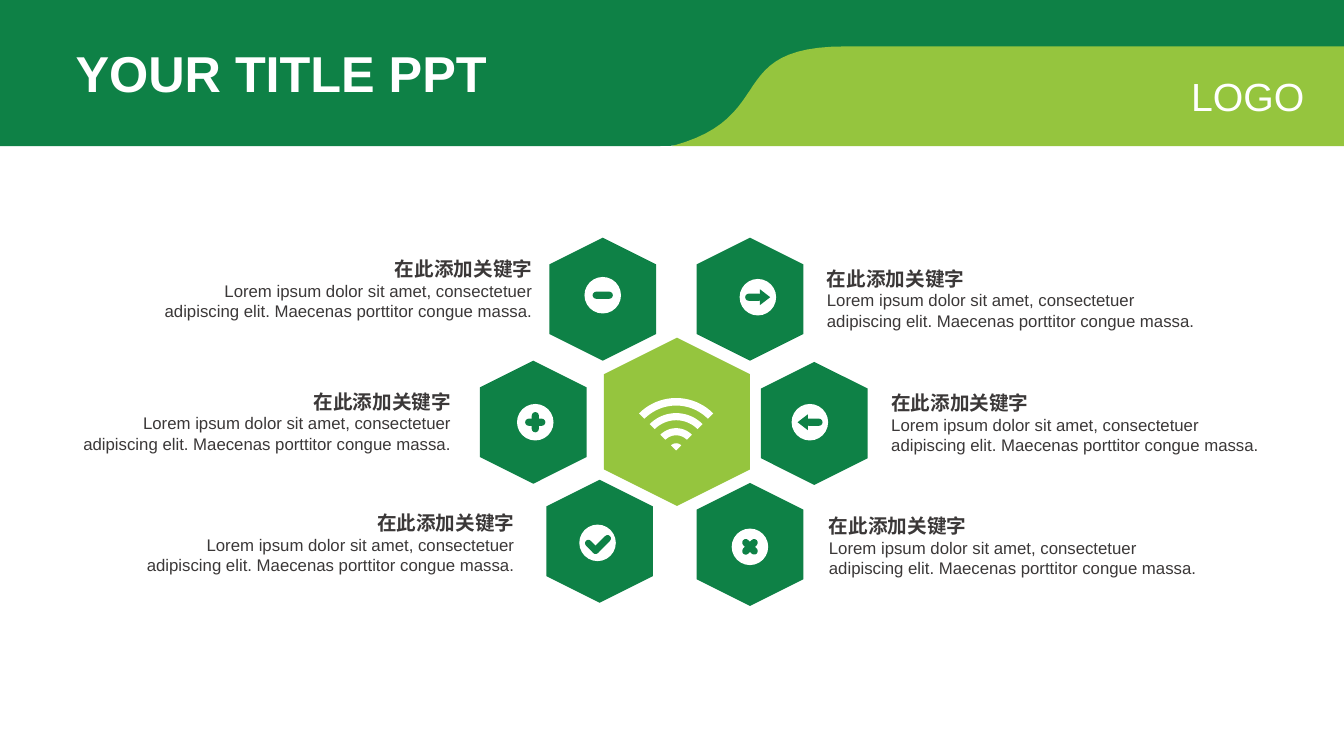
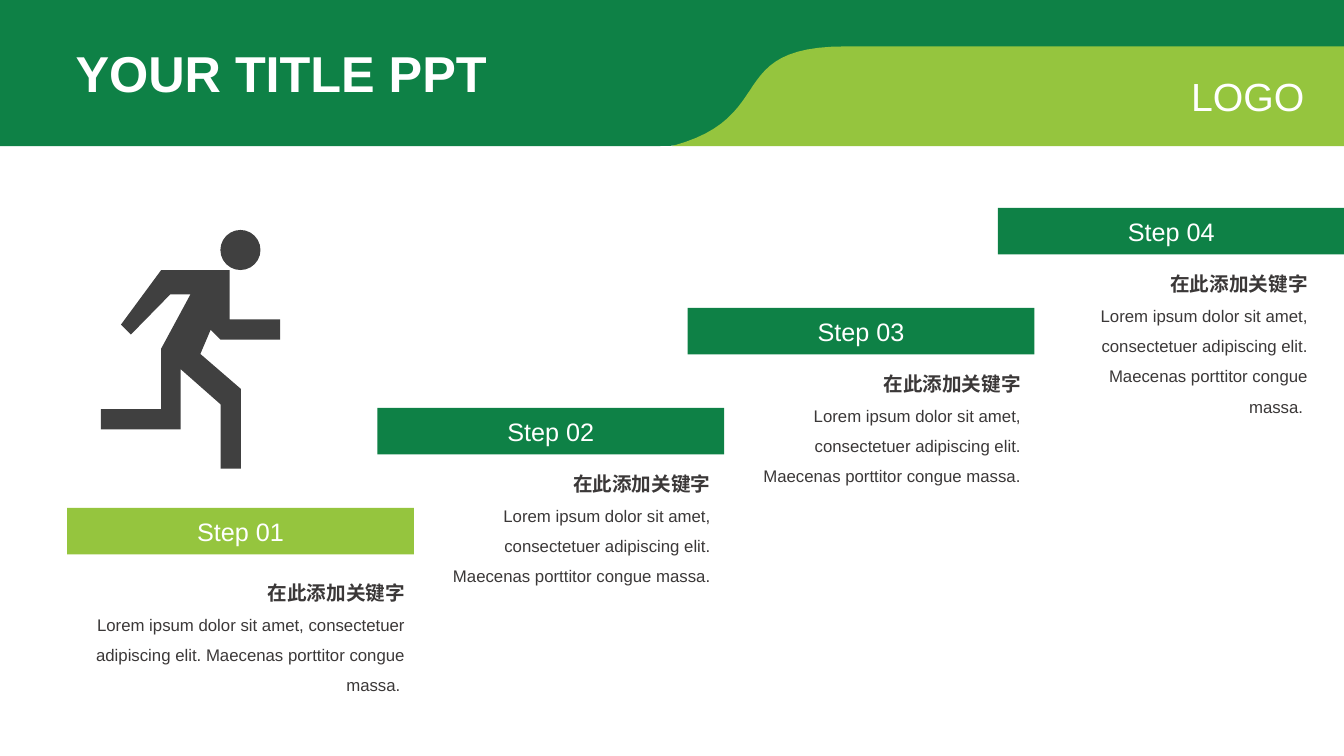
"""Build a two-slide green deck: a hexagon cluster and a rising staircase."""
from dataclasses import dataclass
from math import cos, pi, sin

from pptx import Presentation
from pptx.dml.color import RGBColor
from pptx.enum.shapes import MSO_SHAPE as Preset
from pptx.enum.text import MSO_ANCHOR as Anchor
from pptx.enum.text import MSO_AUTO_SIZE as AutoSize
from pptx.enum.text import PP_ALIGN as Align
from pptx.util import Cm, Pt


@dataclass(frozen=True)
class Theme:
    """Colours, font and type sizes of the deck."""
    dark: str = "0E8146"
    light: str = "95C53E"
    white: str = "FFFFFF"
    ink: str = "3B3838"
    figure: str = "404040"
    font: str = "Arial"
    title: int = 36
    logo: int = 28
    step: int = 18
    heading: int = 14
    body: int = 12


THEME = Theme()
WIDTH, HEIGHT = 33.87, 19.05
TITLE, LOGO = "YOUR TITLE PPT", "LOGO"
HEADING = "在此添加关键字"
BODY = "Lorem ipsum dolor sit amet, consectetuer adipiscing elit. Maecenas porttitor congue massa."

DARK_BAND = [(0, 0), (WIDTH, 0), (WIDTH, 1.27), (21.01, 1.27), (20.55, 1.42),
             (18.47, 2.18, 19.56, 3.68, 16.64, 3.68), (0, 3.68)]
LIGHT_BAND = [(21.31, 1.17), (WIDTH, 1.17), (WIDTH, 3.68), (16.94, 3.68),
              (19.66, 2.95, 18.21, 1.17, 21.31, 1.17)]

BAR, HEAD = Preset.ROUNDED_RECTANGLE, Preset.ISOSCELES_TRIANGLE
GLYPHS = {
    "minus": [(BAR, 0, 0, 0.51, 0.18, 0)],
    "plus": [(BAR, 0, 0, 0.51, 0.18, 0), (BAR, 0, 0, 0.51, 0.18, 90)],
    "times": [(BAR, 0, 0, 0.48, 0.18, 45), (BAR, 0, 0, 0.48, 0.18, -45)],
    "check": [(BAR, -0.14, 0.1, 0.43, 0.17, 45), (BAR, 0.1, 0.04, 0.6, 0.17, -45)],
    "right": [(BAR, -0.1, 0, 0.44, 0.18, 0), (HEAD, 0.18, 0, 0.4, 0.26, 90)],
    "left": [(BAR, 0.1, 0, 0.44, 0.18, 0), (HEAD, -0.18, 0, 0.4, 0.26, -90)],
}
KEYWORDS = [
    {"hexagon": (15.19, 7.54), "icon": (15.19, 7.44), "glyph": "minus", "text": (3.78, 6.3), "align": Align.RIGHT},
    {"hexagon": (13.44, 10.64), "icon": (13.49, 10.64), "glyph": "plus", "text": (1.73, 9.65), "align": Align.RIGHT},
    {"hexagon": (15.11, 13.64), "icon": (15.06, 13.68), "glyph": "check", "text": (3.33, 12.7), "align": Align.RIGHT},
    {"hexagon": (18.9, 7.54), "icon": (19.1, 7.49), "glyph": "right", "text": (20.5, 6.55), "align": Align.LEFT},
    {"hexagon": (20.52, 10.67), "icon": (20.41, 10.64), "glyph": "left", "text": (22.12, 9.68), "align": Align.LEFT},
    {"hexagon": (18.9, 13.72), "icon": (18.9, 13.78), "glyph": "times", "text": (20.55, 12.78), "align": Align.LEFT},
]
HUB = (17.06, 10.63)
SIGNAL_FOOT = (17.04, 11.35)
SIGNAL_RADII = [(1.32, 1.13), (0.94, 0.76), (0.56, 0.38), (0.18, 0)]

STEPS = [
    ("Step 01", THEME.light, (0, 1.37, 8.86)),
    ("Step 02", THEME.dark, (1.5, 1.15, 7.24)),
    ("Step 03", THEME.dark, (1.5, 1.15, 7.24)),
    ("Step 04", THEME.dark, (1.5, 1.15, 6.65)),
]
RUNNER = [(3.3, 8.43), (4.29, 7.42), (4.8, 7.42), (4.06, 8.79), (4.06, 10.31),
          (2.54, 10.31), (2.54, 10.82), (4.55, 10.82), (4.55, 9.3), (5.56, 10.19),
          (5.56, 11.81), (6.07, 11.81), (6.07, 9.8), (5.05, 8.92), (5.31, 8.31),
          (5.56, 8.56), (7.06, 8.56), (7.06, 8.05), (5.79, 8.05), (5.79, 6.81),
          (4.06, 6.81), (3.05, 8.18)]


def paint(shape, color):
    """Give a shape a flat fill without line or shadow."""
    shape.shadow.inherit = False
    shape.fill.solid()
    shape.fill.fore_color.rgb = RGBColor.from_string(color)
    shape.line.fill.background()
    return shape


def add_preset(shapes, preset, center, size, color, turn=0):
    """Add a preset shape around its centre."""
    (x, y), (width, height) = center, size
    shape = shapes.add_shape(preset, Cm(x - width / 2), Cm(y - height / 2), Cm(width), Cm(height))
    shape.rotation = turn
    return paint(shape, color)


def flatten(path, pieces=24):
    """Turn a path of points and cubic curves into plain points."""
    points = []
    for node in path:
        if len(node) == 2:
            points.append(node)
            continue
        corners = [points[-1], node[:2], node[2:4], node[4:]]
        for index in range(1, pieces + 1):
            t = index / pieces
            weights = ((1 - t) ** 3, 3 * t * (1 - t) ** 2, 3 * t * t * (1 - t), t ** 3)
            points.append(tuple(sum(w * c[axis] for w, c in zip(weights, corners)) for axis in (0, 1)))
    return points


def add_outline(shapes, paths, color):
    """Add one freeform made of closed paths."""
    contours = [[(x * 1000, y * 1000) for x, y in flatten(path)] for path in paths]
    builder = shapes.build_freeform(*contours[0][0], scale=Cm(0.001))
    for index, contour in enumerate(contours):
        if index:
            builder.move_to(*contour[0])
        builder.add_line_segments(contour[1:], close=True)
    return paint(builder.convert_to_shape(), color)


def write(para, text, *, size, color, bold=False, align=Align.LEFT, spacing=1.0):
    """Write formatted text into a paragraph."""
    para.alignment = align
    para.line_spacing = spacing
    span = para.add_run()
    span.text = text
    span.font.name = THEME.font
    span.font.size = Pt(size)
    span.font.bold = bold
    span.font.color.rgb = RGBColor.from_string(color)


def add_box(slide, left, top, width, height):
    """Add an empty text box."""
    return slide.shapes.add_textbox(Cm(left), Cm(top), Cm(width), Cm(height))


def add_keyword(slide, left, top, width, height, align, spacing=1.0):
    """Add a bold keyword with its description."""
    frame = add_box(slide, left, top, width, height).text_frame
    frame.word_wrap = True
    frame.margin_left = frame.margin_right = Cm(0.34)
    frame.margin_top = frame.margin_bottom = Cm(0.17)
    body = BODY + " " if align == Align.RIGHT else BODY
    shared = {"color": THEME.ink, "align": align, "spacing": spacing}
    write(frame.paragraphs[0], HEADING, size=THEME.heading, bold=True, **shared)
    write(frame.add_paragraph(), body, size=THEME.body, **shared)


def add_slide(deck):
    """Add a title-only slide with the shared header."""
    slide = deck.slides.add_slide(deck.slide_layouts[5])
    add_outline(slide.shapes, [DARK_BAND], THEME.dark)
    add_outline(slide.shapes, [LIGHT_BAND], THEME.light)
    title = slide.shapes.title
    title.left, title.top, title.width, title.height = Cm(1.65), Cm(0.94), Cm(11.13), Cm(1.8)
    title.element.getparent().append(title.element)
    logo = add_box(slide, 29.72, 1.7, 3.4, 1.45)
    for box in (title, logo):
        box.text_frame.word_wrap = False
        box.text_frame.auto_size = AutoSize.SHAPE_TO_FIT_TEXT
        box.text_frame.vertical_anchor = Anchor.TOP
    write(title.text_frame.paragraphs[0], TITLE, size=THEME.title, color=THEME.white, bold=True)
    write(logo.text_frame.paragraphs[0], LOGO, size=THEME.logo, color=THEME.white, align=Align.RIGHT)
    return slide


def add_hexagon(slide, center, size, color):
    """Add a hexagon standing on its point."""
    add_preset(slide.shapes, Preset.HEXAGON, center, size, color, 90).adjustments[0] = 0.25


def add_icon(slide, center, glyph):
    """Add a white disc with a glyph made of strokes."""
    icon = slide.shapes.add_group_shape()
    add_preset(icon.shapes, Preset.OVAL, center, (0.92, 0.92), THEME.white)
    for preset, dx, dy, width, height, turn in GLYPHS[glyph]:
        spot = (center[0] + dx, center[1] + dy)
        stroke = add_preset(icon.shapes, preset, spot, (width, height), THEME.dark, turn)
        stroke.adjustments[0] = 0.5


def signal_arc(outer, inner, pieces=20):
    """Return the outline of a quarter ring opening upwards."""
    x, y = SIGNAL_FOOT
    angles = [pi / 4 + pi / 2 * index / pieces for index in range(pieces + 1)]
    rims = [(outer, angle) for angle in angles] + [(inner, angle) for angle in reversed(angles)]
    return [(x + radius * cos(angle), y - radius * sin(angle)) for radius, angle in rims]


def build_cluster(deck):
    """Build the slide with six keywords around a hub."""
    slide = add_slide(deck)
    for item in KEYWORDS:
        add_hexagon(slide, item["hexagon"], (3.1, 2.69), THEME.dark)
        add_icon(slide, item["icon"], item["glyph"])
        add_keyword(slide, *item["text"], 9.98, 1.96, item["align"])
    add_hexagon(slide, HUB, (4.24, 3.68), THEME.light)
    add_outline(slide.shapes, [signal_arc(*radii) for radii in SIGNAL_RADII], THEME.white)


def build_stairs(deck):
    """Build the slide with four rising steps and a runner."""
    slide = add_slide(deck)
    runner = slide.shapes.add_group_shape()
    add_outline(runner.shapes, [RUNNER], THEME.figure)
    add_preset(runner.shapes, Preset.OVAL, (6.06, 6.3), (1.01, 1.01), THEME.figure)
    width, height = 8.74, 1.17
    for index, (label, color, (dx, dy, text_width)) in enumerate(STEPS):
        left, top = 1.69 + 7.82 * index, 12.8 - 2.52 * index
        center = (left + width / 2, top + height / 2)
        step = add_preset(slide.shapes, Preset.RECTANGLE, center, (width, height), color)
        step.text_frame.vertical_anchor = Anchor.MIDDLE
        write(step.text_frame.paragraphs[0], label, size=THEME.step, color=THEME.white, align=Align.CENTER)
        add_keyword(slide, left + dx, top + dy, text_width, 3.56, Align.RIGHT, spacing=1.5)


def main():
    """Build and save the deck."""
    deck = Presentation()
    deck.slide_width, deck.slide_height = Cm(WIDTH), Cm(HEIGHT)
    build_cluster(deck)
    build_stairs(deck)
    deck.save("out.pptx")


if __name__ == "__main__":
    main()
